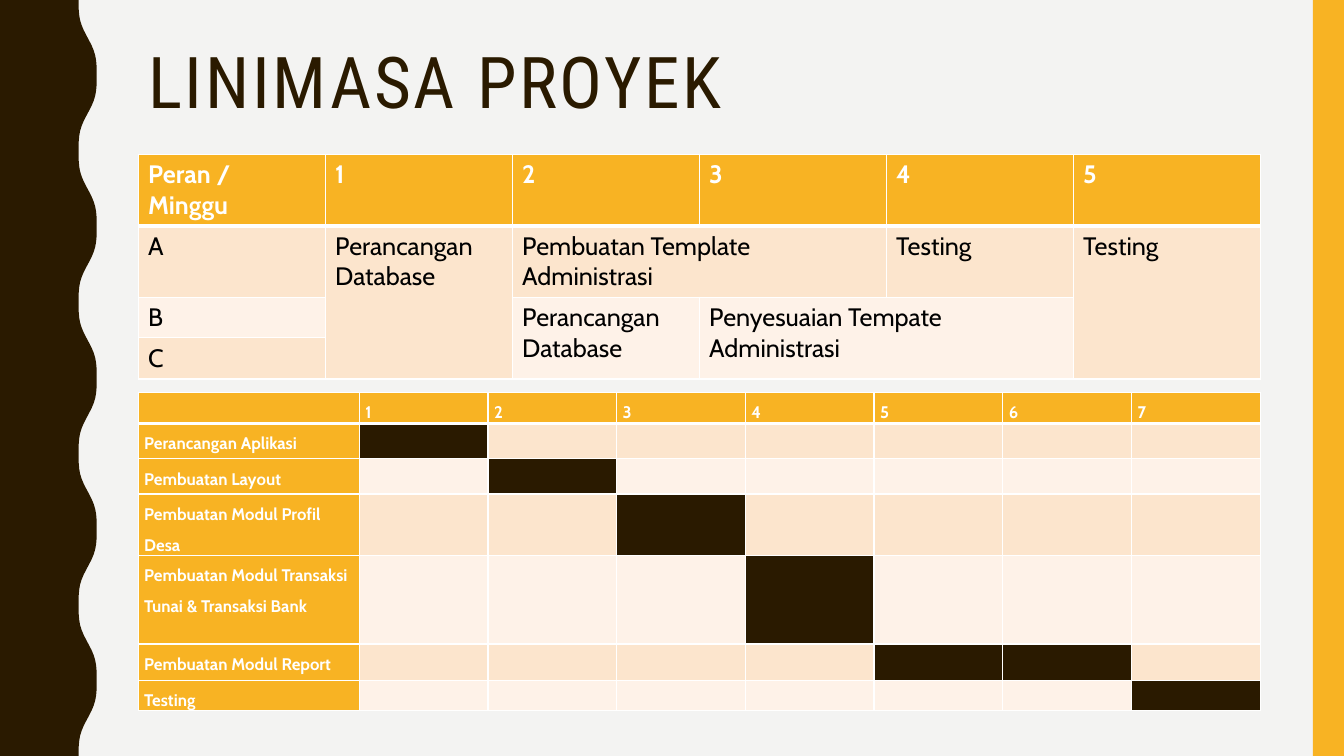
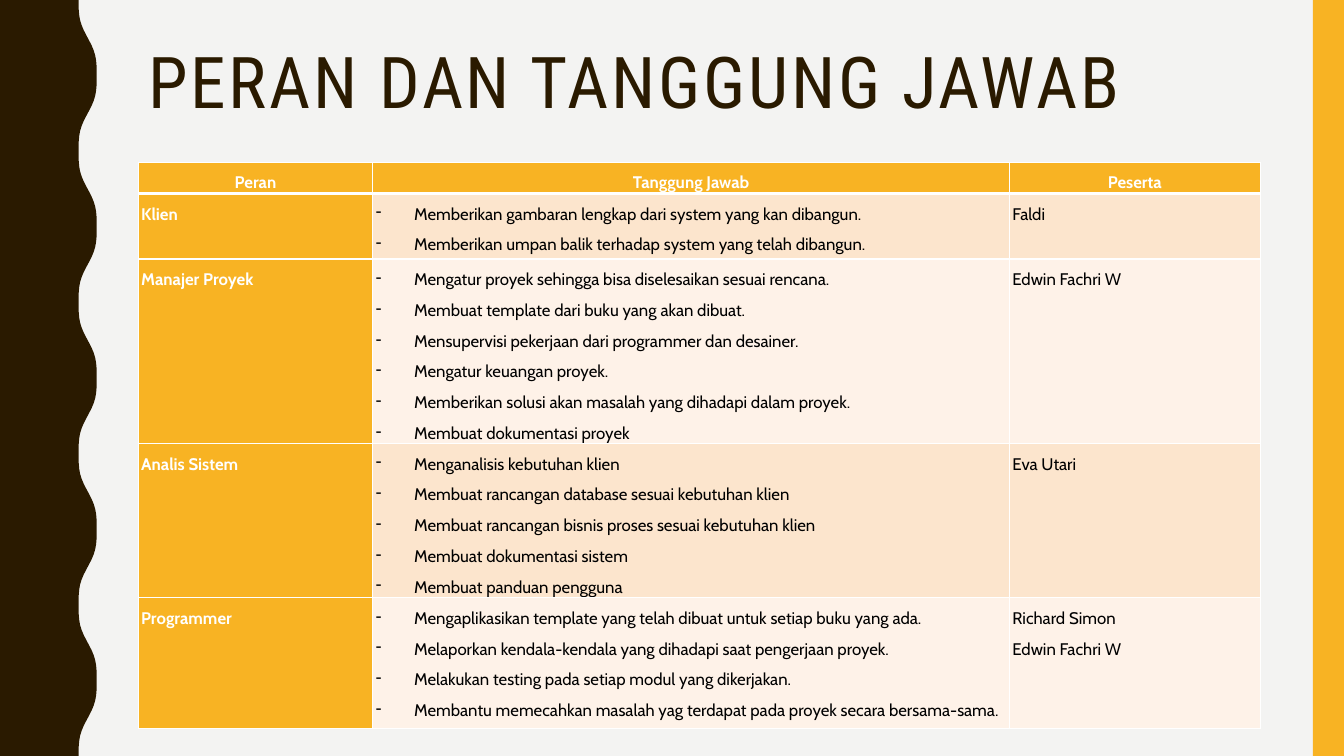
import math
from dataclasses import dataclass

import pptx
import pptx.dml.color
import pptx.enum.shapes
import pptx.enum.text
import pptx.oxml
import pptx.oxml.ns
import pptx.presentation
import pptx.slide
import pptx.table
import pptx.text.text
import pptx.util

Inches = pptx.util.Inches


@dataclass(frozen=True)
class Theme:
    wide: float = 13.33
    high: float = 7.5
    left: float = 1.37
    span: float = 11.13
    paper: str = "F3F3F2"
    dark: str = "2A1A00"
    gold: str = "F8B323"
    white: str = "FFFFFF"
    black: str = "000000"
    bands: tuple[str, str] = ("FEF2E8", "FCE5CD")
    head: str = "Roboto Condensed"
    body: str = "Cabin"
    title: int = 51
    large: int = 18
    small: int = 12
    thin: int = 1
    thick: int = 3


@dataclass(frozen=True)
class Merge:
    row: int
    col: int
    rows: int
    cols: int


@dataclass(frozen=True)
class Board:
    """A table: cols are shares of the width, rows are inches."""
    top: float
    cols: list[float]
    rows: list[float]
    texts: list[list[str]]
    size: int
    inset: tuple[float, float]
    lead: float = 1.5
    side: bool = True
    center: bool = False
    dashed: int = -1
    marks: frozenset[tuple[int, int]] = frozenset()
    merges: tuple[Merge, ...] = ()


@dataclass(frozen=True)
class Page:
    title: str
    boards: list[Board]


T = Theme()

ROLES = Board(
    top=1.53, cols=[1] * 6, rows=[0.71, 0.71, 0.4, 0.41],
    texts=[
        ["Peran / Minggu", "1", "2", "3", "4", "5"],
        ["A", "Perancangan Database", "Pembuatan Template Administrasi",
         "", "Testing", "Testing"],
        ["B", "", "Perancangan Database", "Penyesuaian Tempate Administrasi",
         "", ""],
        ["C", "", "", "", "", ""],
    ],
    size=T.large, inset=(0.1, 0.05), lead=1.0, side=False,
    merges=(Merge(1, 1, 3, 1), Merge(1, 2, 1, 2), Merge(1, 5, 3, 1),
            Merge(2, 2, 2, 1), Merge(2, 3, 2, 2)),
)

WEEKS = 7
TASKS = ["Perancangan Aplikasi", "Pembuatan Layout",
         "Pembuatan Modul Profil Desa",
         "Pembuatan Modul Transaksi Tunai & Transaksi Bank",
         "Pembuatan Modul Report", "Testing"]

GANTT = Board(
    top=3.89, cols=[2.2] + [1.28] * WEEKS,
    rows=[0.31, 0.35, 0.35, 0.61, 0.88, 0.36, 0.3],
    texts=[[""] + [str(week + 1) for week in range(WEEKS)]]
    + [[task] + [""] * WEEKS for task in TASKS],
    size=T.small, inset=(0.06, 0),
    marks=frozenset({(1, 1), (2, 2), (3, 3), (4, 4), (5, 5), (5, 6), (6, 7)}),
)

DUTIES = Board(
    top=1.61, cols=[2.33, 6.32, 2.49], rows=[0.31, 0.65, 1.83, 1.53, 1.3],
    texts=[
        ["Peran", "Tanggung Jawab", "Peserta"],
        ["Klien",
         "Memberikan gambaran lengkap dari system yang kan dibangun.\n"
         "Memberikan umpan balik terhadap system yang telah dibangun.",
         "Faldi"],
        ["Manajer Proyek",
         "Mengatur proyek sehingga bisa diselesaikan sesuai rencana.\n"
         "Membuat template dari buku yang akan dibuat.\n"
         "Mensupervisi pekerjaan dari programmer dan desainer.\n"
         "Mengatur keuangan proyek.\n"
         "Memberikan solusi akan masalah yang dihadapi dalam proyek.\n"
         "Membuat dokumentasi proyek",
         "Edwin Fachri W"],
        ["Analis Sistem",
         "Menganalisis kebutuhan klien\n"
         "Membuat rancangan database sesuai kebutuhan klien\n"
         "Membuat rancangan bisnis proses sesuai kebutuhan klien\n"
         "Membuat dokumentasi sistem\n"
         "Membuat panduan pengguna",
         "Eva Utari"],
        ["Programmer",
         "Mengaplikasikan template yang telah dibuat untuk setiap buku yang ada.\n"
         "Melaporkan kendala-kendala yang dihadapi saat pengerjaan proyek.\n"
         "Melakukan testing pada setiap modul yang dikerjakan.\n"
         "Membantu memecahkan masalah yag terdapat pada proyek secara bersama-sama.",
         "Richard Simon\nEdwin Fachri W"],
    ],
    size=T.small, inset=(0.03, 0), center=True, dashed=1,
)

PAGES = [Page("LINIMASA PROYEK", [ROLES, GANTT]),
         Page("PERAN DAN TANGGUNG JAWAB", [DUTIES])]


def color(code: str) -> pptx.dml.color.RGBColor:
    return pptx.dml.color.RGBColor.from_string(code)


def style(font: pptx.text.text.Font, name: str, size: int, code: str,
          bold: bool = False) -> None:
    font.name, font.size, font.bold = name, pptx.util.Pt(size), bold
    font.color.rgb = color(code)


def paint(shape, code: str) -> None:
    shape.shadow.inherit = False
    shape.fill.solid()
    shape.fill.fore_color.rgb = color(code)
    shape.line.fill.background()


def frame(slide: pptx.slide.Slide) -> None:
    """Draw the wavy left edge and the right band."""
    def edge(y: float) -> float:
        turn = 2 * math.pi * y / (T.high / 5)
        return 0.87 - 0.1 * math.cos(turn) + 0.01 * math.cos(3 * turn)

    steps = 150
    curve = [(edge(T.high * i / steps), T.high * i / steps)
             for i in range(steps + 1)]
    pen = slide.shapes.build_freeform(0, 0, scale=1.0)
    pen.add_line_segments([(Inches(x), Inches(y))
                           for x, y in curve + [(0, T.high)]], close=True)
    paint(pen.convert_to_shape(), T.dark)
    band = slide.shapes.add_shape(
        pptx.enum.shapes.MSO_SHAPE.RECTANGLE,
        Inches(13.02), 0, Inches(T.wide - 13.02), Inches(T.high))
    paint(band, T.gold)


def title(slide: pptx.slide.Slide, text: str) -> None:
    box = slide.shapes.add_textbox(
        Inches(T.left), Inches(0.42), Inches(T.span), Inches(1))
    box.text_frame.word_wrap = True
    para = box.text_frame.paragraphs[0]
    para.line_spacing = 0.9
    style(para.font, T.head, T.title, T.dark)
    run = para.add_run()
    run.text = text
    run.font._element.set("spc", "200") if hasattr(run.font, "_element") \
        else run._r.get_or_add_rPr().set("spc", "200")


def rule(cell: pptx.table._Cell, row: int) -> None:
    """Give a cell white borders, thick below the header row."""
    props = cell._tc.get_or_add_tcPr()
    space = pptx.oxml.ns.nsdecls("a")
    heavy = {"T": row == 1, "B": row == 0}
    for spot, side in enumerate("LRTB"):
        width = pptx.util.Pt(T.thick if heavy.get(side) else T.thin)
        props.insert(spot, pptx.oxml.parse_xml(
            f'<a:ln{side} {space} w="{int(width)}"><a:solidFill>'
            f'<a:srgbClr val="{T.white}"/></a:solidFill></a:ln{side}>'))


def dash(para: pptx.text.text._Paragraph) -> None:
    props = para._p.get_or_add_pPr()
    props.set("marL", str(Inches(0.38)))
    props.set("indent", str(-Inches(0.38)))
    props.append(pptx.oxml.parse_xml(
        f'<a:buChar {pptx.oxml.ns.nsdecls("a")} char="-"/>'))


def fill(cell: pptx.table._Cell, board: Board, row: int, col: int) -> None:
    """Set the text, colour and borders of one cell."""
    label = row == 0 or (board.side and col == 0)
    shade = T.gold if label else T.bands[row % 2]
    if (row, col) in board.marks:
        shade = T.dark
    cell.fill.solid()
    cell.fill.fore_color.rgb = color(shade)
    rule(cell, row)
    across, down = (Inches(gap) for gap in board.inset)
    cell.margin_left = cell.margin_right = across
    cell.margin_top = cell.margin_bottom = down
    text = board.texts[row][col]
    cell.text_frame.text = text
    for para in cell.text_frame.paragraphs:
        if not text:
            end = para._p.get_or_add_endParaRPr()
            end.set("sz", str(board.size * 100))
            continue
        para.line_spacing = board.lead
        if row == 0 and board.center:
            para.alignment = pptx.enum.text.PP_ALIGN.CENTER
        if row and col == board.dashed:
            dash(para)
        style(para.font, T.body, board.size,
              T.white if label else T.black, label)


def draw(slide: pptx.slide.Slide, board: Board) -> None:
    table = slide.shapes.add_table(
        len(board.rows), len(board.cols), Inches(T.left), Inches(board.top),
        Inches(T.span), Inches(sum(board.rows))).table
    table.horz_banding = False
    for line, tall in zip(table.rows, board.rows):
        line.height = Inches(tall)
    for line, part in zip(table.columns, board.cols):
        line.width = Inches(T.span * part / sum(board.cols))
    for row in range(len(board.rows)):
        for col in range(len(board.cols)):
            fill(table.cell(row, col), board, row, col)
    for area in board.merges:
        last = table.cell(area.row + area.rows - 1, area.col + area.cols - 1)
        table.cell(area.row, area.col).merge(last)


def main() -> None:
    deck = pptx.Presentation()
    deck.slide_width, deck.slide_height = Inches(T.wide), Inches(T.high)
    ground = deck.slide_master.background.fill
    ground.solid()
    ground.fore_color.rgb = color(T.paper)
    for page in PAGES:
        slide = deck.slides.add_slide(deck.slide_layouts[6])
        frame(slide)
        title(slide, page.title)
        for board in page.boards:
            draw(slide, board)
    deck.save("out.pptx")


if __name__ == "__main__":
    main()
